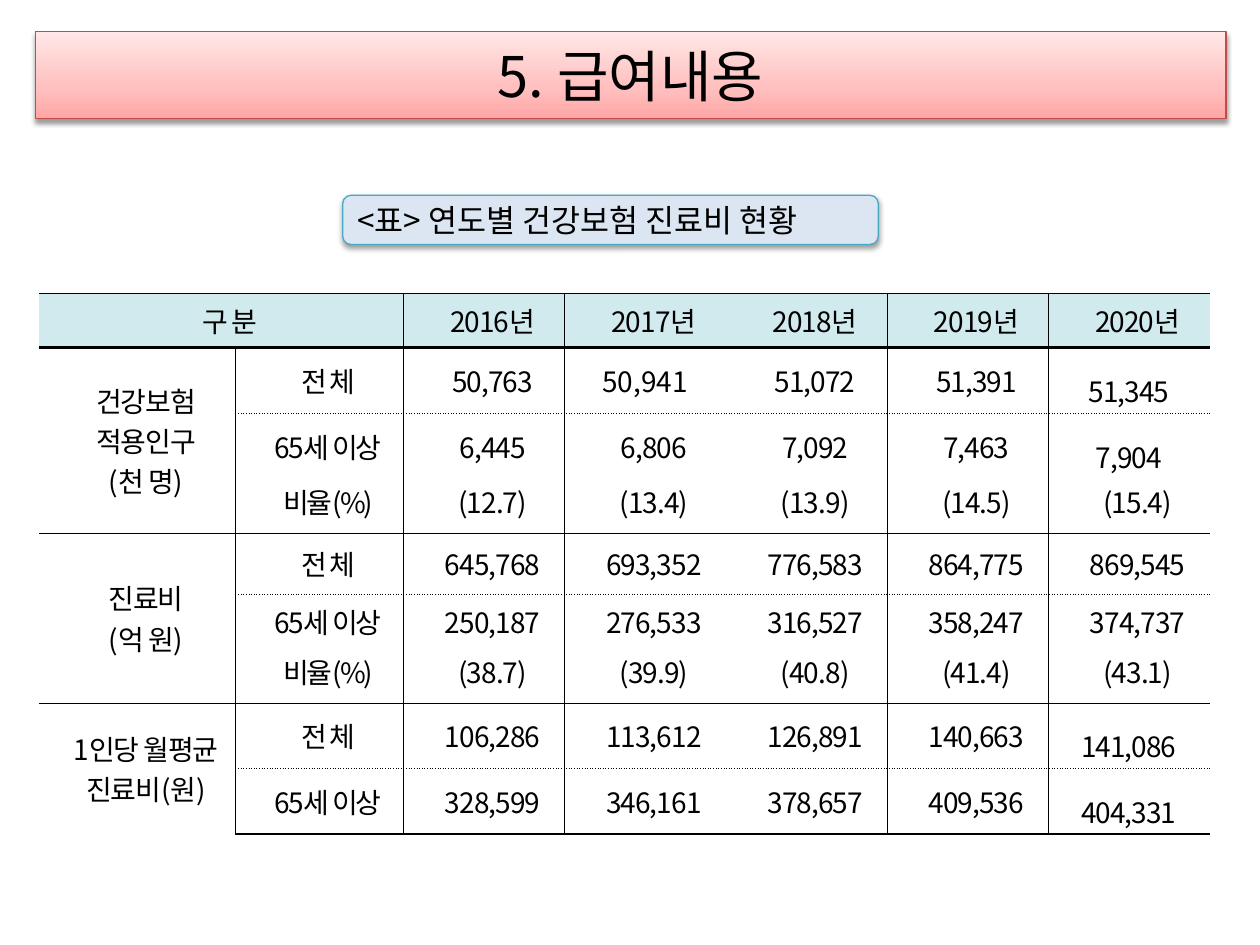
from dataclasses import dataclass
from itertools import groupby

from lxml import etree
from pptx import Presentation
from pptx.dml.color import RGBColor
from pptx.enum.shapes import MSO_SHAPE
from pptx.enum.text import MSO_ANCHOR, PP_ALIGN
from pptx.oxml import parse_xml
from pptx.oxml.ns import nsdecls, qn
from pptx.util import Inches, Pt

ROUNDED = MSO_SHAPE.ROUNDED_RECTANGLE
MIDDLE, TOP = MSO_ANCHOR.MIDDLE, MSO_ANCHOR.TOP
CENTER, LEFT = PP_ALIGN.CENTER, PP_ALIGN.LEFT
PLAIN_TABLE = "{2D5ABB26-0587-4C30-8999-92F81FD0307C}"


@dataclass(frozen=True)
class Theme:
    font: str = "Noto Sans CJK KR"
    ink: str = "000000"
    banner_stops: tuple = ((0, "FFA6A5"), (35, "FFC0BF"), (100, "FFE7E7"))
    banner_line: str = "BF4C48"
    caption_fill: str = "DCE6F2"
    caption_line: str = "46AAC5"
    header_fill: str = "D0EAED"
    title_size: int = 32
    caption_size: int = 18
    table_size: int = 16
    hairline: float = 0.25
    edge: float = 1.13
    header_rule: float = 1.98


YEARS = ["2016년", "2017년", "2018년", "2019년", "2020년"]
GROUPS = [
    (["건강보험", "적용인구", "(천 명)"], [
        ("전 체", "50,763 50,941 51,072 51,391 51,345"),
        ("65세 이상", "6,445 6,806 7,092 7,463 7,904"),
        ("비율(%)", "(12.7) (13.4) (13.9) (14.5) (15.4)")]),
    (["진료비", "(억 원)"], [
        ("전 체", "645,768 693,352 776,583 864,775 869,545"),
        ("65세 이상", "250,187 276,533 316,527 358,247 374,737"),
        ("비율(%)", "(38.7) (39.9) (40.8) (41.4) (43.1)")]),
    (["1인당 월평균", "진료비(원)"], [
        ("전 체", "106,286 113,612 126,891 140,663 141,086"),
        ("65세 이상", "328,599 346,161 378,657 409,536 404,331")]),
]
COLUMN_WIDTHS = [1.56, 1.33] + [1.28] * len(YEARS)
ROW_HEIGHTS = [0.43, 0.49, 0.43, 0.43, 0.49, 0.43, 0.43, 0.49, 0.49]
RULED_COLUMNS = {1, 2, 3, 5, 6}
LOOSE_ROWS = {1, 2, 7, 8}


class SlideBuilder:
    """Holds the theme and the current slide, and adds each kind of element."""

    def __init__(self, deck, theme):
        self.theme = theme
        self.slide = deck.slides.add_slide(deck.slide_layouts[5])

    def apply(self, target, values):
        for name, value in values.items():
            setattr(target, name, value)

    def add_run(self, paragraph, text, size, tracking=0):
        run = paragraph.add_run()
        run.text = text
        self.apply(run.font, {"name": self.theme.font, "size": Pt(size)})
        run.font.color.rgb = RGBColor.from_string(self.theme.ink)
        properties = run.font._element
        properties.set("spc", str(round(tracking * 100)))
        etree.SubElement(properties, qn("a:ea"), typeface=self.theme.font)

    def outline(self, shape, color):
        shape.line.color.rgb = RGBColor.from_string(color)
        shape.line.width = Pt(0.75)
        shape._element.spPr.append(parse_xml(
            f'<a:effectLst {nsdecls("a")}><a:outerShdw blurRad="{Pt(3.1)}" dist="{Pt(1.6)}" '
            'dir="5400000" rotWithShape="0"><a:srgbClr val="000000"><a:alpha val="38000"/>'
            '</a:srgbClr></a:outerShdw></a:effectLst>'))

    def title(self, text, left, top, width, height):
        banner = self.slide.shapes.title
        self.apply(banner, {"left": Inches(left), "top": Inches(top),
                            "width": Inches(width), "height": Inches(height)})
        banner.fill.gradient()
        banner.fill.gradient_angle = 90
        stops = banner._element.spPr.find(f'.//{qn("a:gsLst")}')
        stops.clear()
        for position, color in self.theme.banner_stops:
            stop = etree.SubElement(stops, qn("a:gs"), pos=str(position * 1000))
            etree.SubElement(stop, qn("a:srgbClr"), val=color)
        self.outline(banner, self.theme.banner_line)
        banner.text_frame.vertical_anchor = MIDDLE
        paragraph = banner.text_frame.paragraphs[0]
        paragraph.alignment = CENTER
        self.add_run(paragraph, text, self.theme.title_size)

    def caption(self, text, left, top, width, height):
        label = self.slide.shapes.add_shape(
            ROUNDED, Inches(left), Inches(top), Inches(width), Inches(height))
        label.fill.solid()
        label.fill.fore_color.rgb = RGBColor.from_string(self.theme.caption_fill)
        self.outline(label, self.theme.caption_line)
        self.apply(label.text_frame, {"word_wrap": True, "vertical_anchor": MIDDLE})
        paragraph = label.text_frame.paragraphs[0]
        paragraph.alignment = LEFT
        self.add_run(paragraph, text, self.theme.caption_size)

    def write_cell(self, cell, lines, anchor=MIDDLE, side=0.02, indent=0.14, spacing=None):
        self.apply(cell, {"vertical_anchor": anchor,
                          "margin_left": Inches(side), "margin_right": Inches(side),
                          "margin_top": Inches(0.02), "margin_bottom": Inches(0.02)})
        for index, runs in enumerate(lines):
            frame = cell.text_frame
            paragraph = frame.add_paragraph() if index else frame.paragraphs[0]
            self.apply(paragraph, {"alignment": CENTER, "line_spacing": spacing})
            properties = paragraph._p.get_or_add_pPr()
            properties.set("marL", "0")
            properties.set("indent", str(Inches(indent)))
            for text, tracking in runs:
                self.add_run(paragraph, text, self.theme.table_size, tracking)

    def border_cell(self, cell, borders):
        for position, (side, (width, dash)) in enumerate(borders.items()):
            stroke = (f'<a:solidFill><a:srgbClr val="{self.theme.ink}"/></a:solidFill>'
                      f'<a:prstDash val="{dash}"/>' if width else '<a:noFill/>')
            cell._tc.get_or_add_tcPr().insert(position, parse_xml(
                f'<a:ln{side} {nsdecls("a")} w="{Pt(width)}">{stroke}</a:ln{side}>'))

    def table(self, left, top):
        grid = self.slide.shapes.add_table(
            len(ROW_HEIGHTS), len(COLUMN_WIDTHS), Inches(left), Inches(top),
            Inches(sum(COLUMN_WIDTHS)), Inches(sum(ROW_HEIGHTS))).table
        self.apply(grid, {"first_row": False, "horz_banding": False})
        grid._tbl.tblPr.find(qn("a:tableStyleId")).text = PLAIN_TABLE
        for column, width in zip(grid.columns, COLUMN_WIDTHS):
            column.width = Inches(width)
        for row, height in zip(grid.rows, ROW_HEIGHTS):
            row.height = Inches(height)

        rules = {0: self.theme.edge, 1: self.theme.header_rule, len(ROW_HEIGHTS): self.theme.edge}
        dotted = set()
        grid.cell(0, 0).merge(grid.cell(0, 1))
        self.write_cell(grid.cell(0, 0), [[("구 분", -0.6)]])
        for column, year in enumerate(YEARS, 2):
            self.write_cell(grid.cell(0, column), [[(year, -0.5)]])
        row = 1
        for heading, measures in GROUPS:
            rules.setdefault(row, self.theme.hairline)
            dotted.add(row + 1)
            grid.cell(row, 0).merge(grid.cell(row + len(measures) - 1, 0))
            self.write_cell(grid.cell(row, 0), [
                [("".join(part), -0.5 if tight else -0.6)
                 for tight, part in groupby(line, lambda letter: letter in "()1")]
                for line in heading])
            for measure, figures in measures:
                anchor = TOP if measure.startswith("비율") else MIDDLE
                self.write_cell(grid.cell(row, 1), [[(measure, -1.1)]], anchor)
                for column, figure in enumerate(figures.split(), 2):
                    layout, tracking = {"anchor": anchor}, -0.5
                    if column == 6 and row in LOOSE_ROWS:
                        layout.update(side=0.07, indent=0, spacing=1.5)
                    elif (row, column) == (1, 3):
                        layout["indent"], tracking = 0, 0
                    self.write_cell(grid.cell(row, column), [[(figure, tracking)]], **layout)
                row += 1
        self.rule_table(grid, rules, dotted)

    def rule_table(self, grid, rules, dotted):
        def horizontal(boundary, column):
            if boundary in dotted and column:
                return self.theme.hairline, "sysDot"
            return rules.get(boundary, 0), "solid"

        def vertical(boundary, row):
            visible = boundary in RULED_COLUMNS and (row, boundary) != (0, 1)
            return self.theme.hairline if visible else 0, "solid"

        for row in range(len(ROW_HEIGHTS)):
            for column in range(len(COLUMN_WIDTHS)):
                cell = grid.cell(row, column)
                if row:
                    cell.fill.background()
                else:
                    cell.fill.solid()
                    cell.fill.fore_color.rgb = RGBColor.from_string(self.theme.header_fill)
                self.border_cell(cell, {
                    "L": vertical(column, row), "R": vertical(column + 1, row),
                    "T": horizontal(row, column), "B": horizontal(row + 1, column)})


def main():
    deck = Presentation()
    deck.slide_width, deck.slide_height = Inches(10), Inches(7.5)
    builder = SlideBuilder(deck, Theme())
    builder.title("5. 급여내용", 0.28, 0.25, 9.45, 0.69)
    builder.caption("<표> 연도별 건강보험 진료비 현황", 2.72, 1.55, 4.25, 0.39)
    builder.table(0.31, 2.33)
    deck.save("out.pptx")


if __name__ == "__main__":
    main()
